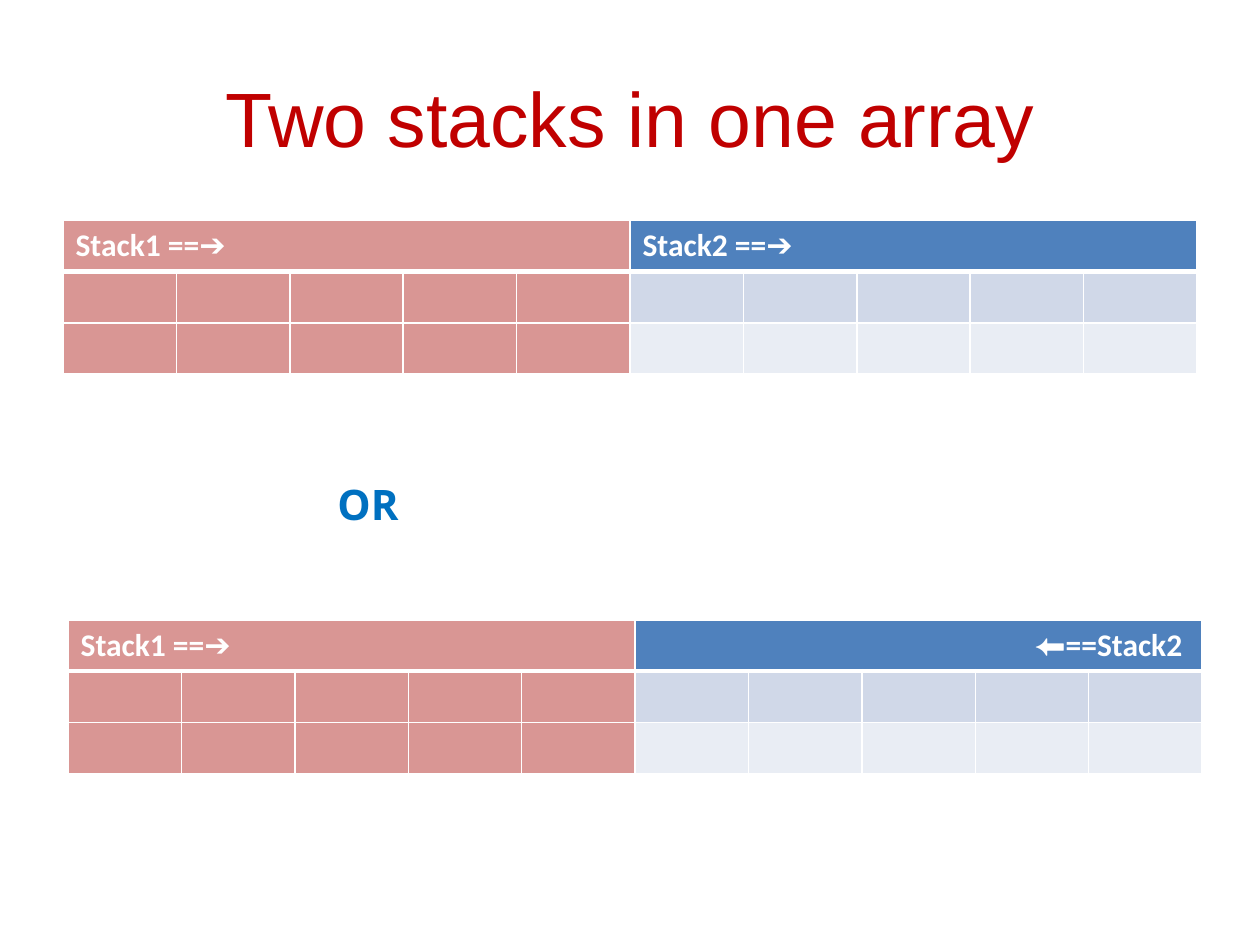
"""Build a slide showing two ways to hold two stacks in one array."""
from dataclasses import dataclass

import pptx
import pptx.dml.color
import pptx.enum.text
import pptx.oxml
import pptx.oxml.ns
import pptx.util
from pptx.dml.color import RGBColor
from pptx.enum.text import MSO_ANCHOR, PP_ALIGN
from pptx.util import Inches, Pt

RED = RGBColor(0xC0, 0x00, 0x00)
BLUE = RGBColor(0x00, 0x70, 0xC0)
WHITE = RGBColor(0xFF, 0xFF, 0xFF)
STACK1_FILL = RGBColor(0xD9, 0x96, 0x94)
STACK2_FILLS = (
    RGBColor(0x4F, 0x81, 0xBD),
    RGBColor(0xD0, 0xD8, 0xE8),
    RGBColor(0xE9, 0xED, 0xF4),
)
ROWS = 3
SLOTS_PER_STACK = 5


@dataclass(frozen=True)
class StackArray:
    left: float
    top: float
    stack2_label: str
    stack2_align: PP_ALIGN


ARRAYS = (
    StackArray(0.5, 1.75, "Stack2 ==➔", PP_ALIGN.LEFT),
    StackArray(0.54, 4.92, "⬅==Stack2 ", PP_ALIGN.RIGHT),
)


def style_run(paragraph, font_name: str, size: float, color: RGBColor, bold: bool) -> None:
    """Format every run of a paragraph."""
    for run in paragraph.runs:
        run.font.name = font_name
        run.font.size = Pt(size)
        run.font.bold = bold
        run.font.color.rgb = color


def set_borders(cell, widths: dict[str, float]) -> None:
    """Draw white cell borders, placed ahead of the fill."""
    properties = cell._tc.get_or_add_tcPr()
    for position, (side, width) in enumerate(widths.items()):
        border = pptx.oxml.parse_xml(
            f'<a:ln{side} {pptx.oxml.ns.nsdecls("a")} w="{Pt(width)}">'
            f'<a:solidFill><a:srgbClr val="{WHITE}"/></a:solidFill></a:ln{side}>'
        )
        properties.insert(position, border)


def label_stack(table, column: int, label: str, align: PP_ALIGN) -> None:
    """Merge the header over one stack and write its label."""
    header = table.cell(0, column)
    header.merge(table.cell(0, column + SLOTS_PER_STACK - 1))
    header.text_frame.text = label
    paragraph = header.text_frame.paragraphs[0]
    paragraph.alignment = align
    style_run(paragraph, "Calibri", 18, WHITE, True)


def add_array(slide, array: StackArray) -> None:
    """Add one array shared by two stacks."""
    columns = 2 * SLOTS_PER_STACK
    table = slide.shapes.add_table(
        ROWS, columns, Inches(array.left), Inches(array.top), Inches(9), Inches(1.22)
    ).table
    for row in range(ROWS):
        for column in range(columns):
            cell = table.cell(row, column)
            cell.fill.solid()
            in_stack1 = column < SLOTS_PER_STACK
            cell.fill.fore_color.rgb = STACK1_FILL if in_stack1 else STACK2_FILLS[row]
            top_width = 3 if row == 1 else 1
            bottom_width = 3 if row == 0 else 1
            set_borders(cell, {"L": 1, "R": 1, "T": top_width, "B": bottom_width})
    label_stack(table, 0, "Stack1 ==➔", PP_ALIGN.LEFT)
    label_stack(table, SLOTS_PER_STACK, array.stack2_label, array.stack2_align)


def main() -> None:
    """Build and save the slide."""
    deck = pptx.Presentation()
    deck.slide_width, deck.slide_height = Inches(10), Inches(7.5)
    slide = deck.slides.add_slide(deck.slide_layouts[5])

    heading = slide.shapes.title
    heading.left, heading.top = Inches(0.5), Inches(0.3)
    heading.width, heading.height = Inches(9), Inches(1.25)
    heading.text_frame.text = "Two stacks in one array"
    heading.text_frame.vertical_anchor = MSO_ANCHOR.MIDDLE
    heading.text_frame.paragraphs[0].alignment = PP_ALIGN.CENTER
    style_run(heading.text_frame.paragraphs[0], "Arial", 44, RED, False)

    for array in ARRAYS:
        add_array(slide, array)

    alternative = slide.shapes.add_textbox(
        Inches(2.58), Inches(3.75), Inches(3.75), Inches(0.5)
    )
    alternative.text_frame.word_wrap = True
    alternative.text_frame.text = "OR"
    style_run(alternative.text_frame.paragraphs[0], "Open Sans", 24, BLUE, True)

    deck.save("out.pptx")


if __name__ == "__main__":
    main()
